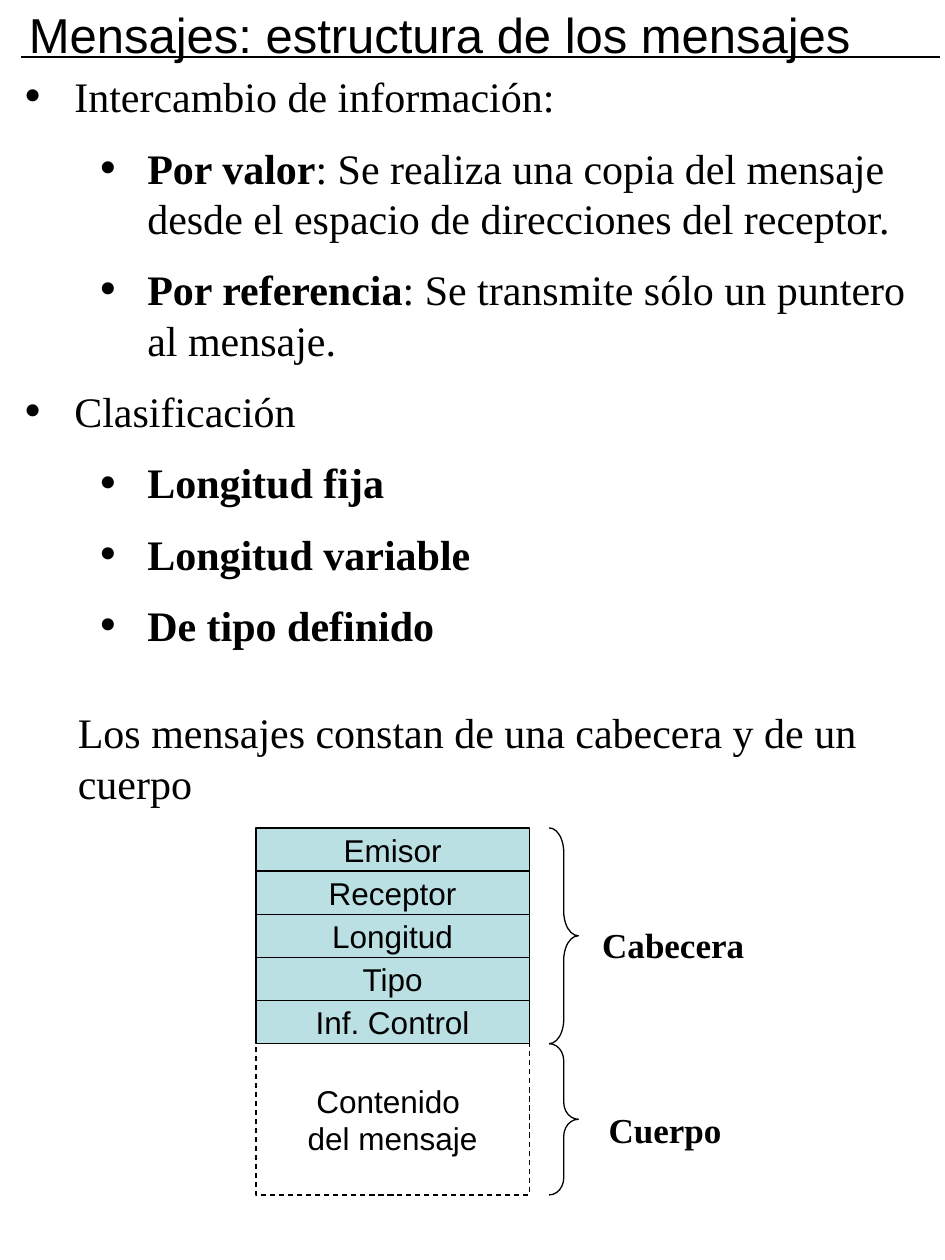
from pptx import Presentation
from pptx.dml.color import RGBColor
from pptx.enum.dml import MSO_LINE
from pptx.enum.shapes import MSO_CONNECTOR, MSO_SHAPE
from pptx.enum.text import MSO_ANCHOR, PP_ALIGN
from pptx.oxml.ns import qn
from pptx.util import Cm, Pt
from lxml import etree

RECTANGLE, BRACE = MSO_SHAPE.RECTANGLE, MSO_SHAPE.RIGHT_BRACE
STRAIGHT, DASH = MSO_CONNECTOR.STRAIGHT, MSO_LINE.DASH
LEFT, CENTER = PP_ALIGN.LEFT, PP_ALIGN.CENTER
MIDDLE = MSO_ANCHOR.MIDDLE
SANS, SERIF = "Arial", "Times New Roman"
BLACK, HEADER_FILL = "000000", "BBE0E3"

TITLE = "Mensajes: estructura de los mensajes"
# Each point: level, bold part, plain part
POINTS = [
    (0, "", "Intercambio de información:"),
    (1, "Por valor", ": Se realiza una copia del mensaje desde el espacio "
                     "de direcciones del receptor."),
    (1, "Por referencia", ": Se transmite sólo un puntero al mensaje."),
    (0, "", "Clasificación"),
    (1, "Longitud fija", ""),
    (1, "Longitud variable", ""),
    (1, "De tipo definido", ""),
]
INDENTS = [(1.02, -1.02), (2.49, -0.97)]
SUMMARY = "Los mensajes constan de una cabecera y de un cuerpo"
HEADER_FIELDS = ["Emisor", "Receptor", "Longitud", "Tipo", "Inf. Control"]
CONTENT = ["Contenido ", "del mensaje"]


def color(hex_code):
    return RGBColor.from_string(hex_code)


def add_run(paragraph, text, size, font, bold=False):
    run = paragraph.add_run()
    run.text = text
    run.font.size = Pt(size)
    run.font.name = font
    run.font.bold = bold
    run.font.color.rgb = color(BLACK)


def add_text_box(slide, left, top, width, height):
    frame = slide.shapes.add_textbox(
        Cm(left), Cm(top), Cm(width), Cm(height)).text_frame
    frame.word_wrap = True
    return frame


def add_label(slide, text, size, left, top, width, height, bold=False):
    frame = add_text_box(slide, left, top, width, height)
    add_run(frame.paragraphs[0], text, size, SERIF, bold)


def add_outlined(slide, kind, left, top, width, height, fill=None):
    shape = slide.shapes.add_shape(
        kind, Cm(left), Cm(top), Cm(width), Cm(height))
    shape.shadow.inherit = False
    if fill:
        shape.fill.solid()
        shape.fill.fore_color.rgb = color(fill)
    else:
        shape.fill.background()
    shape.line.color.rgb = color(BLACK)
    shape.line.width = Pt(0.75)
    return shape


def add_cell(slide, lines, left, top, width, height, fill=None):
    cell = add_outlined(slide, RECTANGLE, left, top, width, height, fill)
    frame = cell.text_frame
    frame.word_wrap = False
    frame.vertical_anchor = MIDDLE
    for i, line in enumerate(lines):
        paragraph = frame.add_paragraph() if i else frame.paragraphs[0]
        paragraph.alignment = CENTER
        add_run(paragraph, line, 18, SANS)
    return cell


def set_bullet(paragraph, margin, indent):
    properties = paragraph._p.get_or_add_pPr()
    properties.set("marL", str(Cm(margin)))
    properties.set("indent", str(Cm(indent)))
    etree.SubElement(properties, qn("a:buSzPct")).set("val", "120000")
    etree.SubElement(properties, qn("a:buFont")).set("typeface", SERIF)
    etree.SubElement(properties, qn("a:buChar")).set("char", "•")


def add_heading(slide, left, top, width, height):
    title = slide.shapes.title
    title.left, title.top = Cm(left), Cm(top)
    title.width, title.height = Cm(width), Cm(height)
    title.text_frame.vertical_anchor = MIDDLE
    paragraph = title.text_frame.paragraphs[0]
    paragraph.alignment = LEFT
    add_run(paragraph, TITLE, 28, SANS)

    rule_y = Cm(top + 1.2)
    rule = slide.shapes.add_connector(
        STRAIGHT, Cm(left + 0.1), rule_y, Cm(left + 18.62), rule_y)
    rule.line.color.rgb = color(BLACK)
    rule.line.width = Pt(0.75)
    etree.SubElement(rule._element.spPr, qn("a:effectLst"))


def add_points(slide, left, top, width, height):
    frame = add_text_box(slide, left, top, width, height)
    for i, (level, term, text) in enumerate(POINTS):
        paragraph = frame.add_paragraph() if i else frame.paragraphs[0]
        paragraph.level = level
        set_bullet(paragraph, *INDENTS[level])
        if i:
            paragraph.space_before = Pt(12)
        if term:
            add_run(paragraph, term, 24, SERIF, bold=True)
        if text:
            add_run(paragraph, text, 24, SERIF)


def add_message_diagram(slide, left, top, width, height):
    """Stack the header fields over the content, each part with its brace."""
    row, cell_width = 0.87, 5.51
    header_height = row * len(HEADER_FIELDS)
    body_height = height - header_height
    body_top = top + header_height

    for i, field in enumerate(HEADER_FIELDS):
        add_cell(slide, [field], left, top + i * row, cell_width, row,
                 HEADER_FILL)
    content = add_cell(slide, CONTENT, left, body_top, cell_width, body_height)
    content.line.dash_style = DASH

    parts = [("Cabecera", top, header_height, 0.83, 6.73, 1.81),
             ("Cuerpo", body_top, body_height, 0.58, 6.86, 1.18)]
    for name, part_top, part_height, curve, label_x, label_y in parts:
        brace = add_outlined(slide, BRACE, left + 5.91, part_top, 0.59,
                             part_height)
        brace.adjustments[0] = curve
        add_label(slide, name, 20, left + label_x, part_top + label_y,
                  width - label_x, 1.09, bold=True)


def main():
    deck = Presentation()
    deck.slide_width, deck.slide_height = Cm(19.05), Cm(25.4)
    slide = deck.slides.add_slide(deck.slide_layouts[5])
    add_heading(slide, 0.33, -0.05, 18.72, 1.45)
    add_points(slide, 0.23, 1.3, 18.82, 12.42)
    add_message_diagram(slide, 5.16, 16.69, 11.7, 7.4)
    add_label(slide, SUMMARY, 24, 1.32, 14.12, 16.61, 2.29)
    deck.save("out.pptx")


if __name__ == "__main__":
    main()
